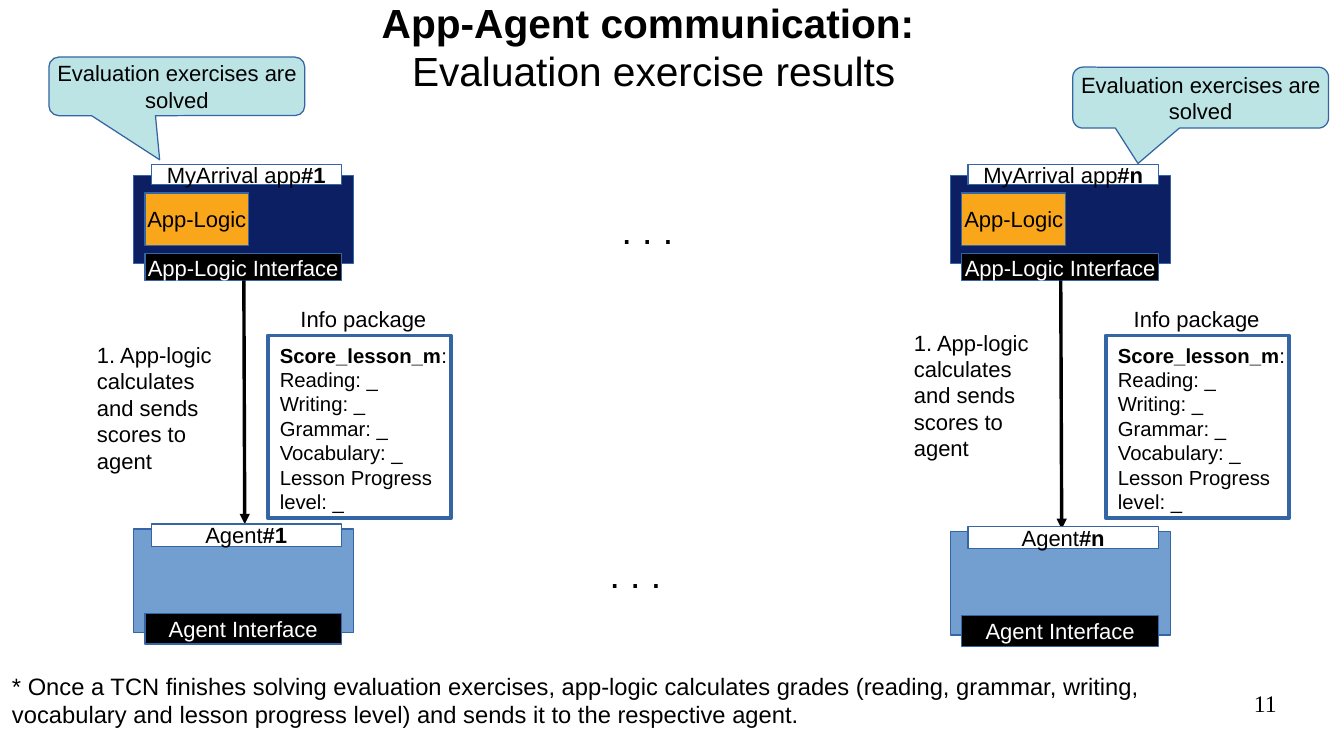
from dataclasses import dataclass

from lxml import etree
from pptx import Presentation
from pptx.dml.color import RGBColor
from pptx.enum.shapes import MSO_CONNECTOR, MSO_SHAPE
from pptx.enum.text import MSO_ANCHOR, PP_ALIGN
from pptx.oxml.ns import qn
from pptx.util import Cm, Pt

RECT = MSO_SHAPE.RECTANGLE
BUBBLE = MSO_SHAPE.ROUNDED_RECTANGULAR_CALLOUT
STRAIGHT = MSO_CONNECTOR.STRAIGHT
LEFT, CENTER, RIGHT = PP_ALIGN.LEFT, PP_ALIGN.CENTER, PP_ALIGN.RIGHT
TOP, MIDDLE = MSO_ANCHOR.TOP, MSO_ANCHOR.MIDDLE


@dataclass(frozen=True)
class Theme:
    """Colours, fonts and type sizes of the slide."""
    black: str = "000000"
    white: str = "FFFFFF"
    edge: str = "3465A4"
    navy: str = "0D1F63"
    orange: str = "FAA61A"
    blue: str = "729FCF"
    mint: str = "BCE4E5"
    font: str = "Arial"
    serif: str = "Times New Roman"
    title: int = 24
    dots: int = 22
    note: int = 14
    body: int = 13
    small: int = 12


THEME = Theme()
SCORES = [[("Score_lesson_m", True), (":", False)], "Reading: _", "Writing: _",
          "Grammar: _", "Vocabulary: _", "Lesson Progress\nlevel: _"]


def write(shape, paras, size=THEME.body, color=THEME.black, font=THEME.font,
          align=LEFT, anchor=TOP, wrap=True, pad=True):
    """Fill a shape with paragraphs, each a string or a list of (text, bold)."""
    frame = shape.text_frame
    frame.word_wrap = wrap
    frame.vertical_anchor = anchor
    if not pad:
        frame.margin_left = frame.margin_right = 0
        frame.margin_top = frame.margin_bottom = 0
    for i, runs in enumerate(paras):
        para = frame.add_paragraph() if i else frame.paragraphs[0]
        para.alignment = align
        for text, bold in [(runs, False)] if isinstance(runs, str) else runs:
            for j, line in enumerate(text.split("\n")):
                if j:
                    para.add_line_break()
                if not line:
                    continue
                run = para.add_run()
                run.text = line
                run.font.name, run.font.size = font, Pt(size)
                run.font.bold = bold
                run.font.color.rgb = RGBColor.from_string(color)


def label(slide, box, paras, **style):
    """Add a text box."""
    write(slide.shapes.add_textbox(*map(Cm, box)), paras, **style)


def block(slide, box, fill, paras=(), kind=RECT, width=0, **style):
    """Add a filled, outlined shape with centred text."""
    shape = slide.shapes.add_shape(kind, *map(Cm, box))
    shape.shadow.inherit = False
    shape.fill.solid()
    shape.fill.fore_color.rgb = RGBColor.from_string(fill)
    shape.line.color.rgb = RGBColor.from_string(THEME.edge)
    shape.line.width = Pt(width)
    if paras:
        write(shape, paras, align=CENTER, anchor=MIDDLE, wrap=False, **style)
    return shape


def arrow(slide, start, end):
    """Add a thin arrow between two points."""
    line = slide.shapes.add_connector(STRAIGHT, *map(Cm, start + end))
    line.line.color.rgb = RGBColor.from_string(THEME.black)
    line.line.width = Pt(0)
    etree.SubElement(line.line._get_or_add_ln(), qn("a:tailEnd"), type="triangle")
    etree.SubElement(line._element.spPr, qn("a:effectLst"))


def bubble(slide, box, tip):
    """Add the callout, its tip given relative to its centre."""
    shape = block(slide, box, THEME.mint, ["Evaluation exercises are", "solved"],
                  kind=BUBBLE)
    shape.adjustments[0], shape.adjustments[1] = tip


def unit(slide, box, fill, name, tag, port, tab, foot):
    """Add a box with a name tab on top and an interface bar at its foot.

    Tab and foot are (offset from the top, height).
    """
    x, y, wide, _ = box
    block(slide, box, fill)
    block(slide, (x + 0.36, y + tab[0], wide - 0.61, tab[1]), THEME.white,
          [[(name, False), (tag, True)]])
    block(slide, (x + 0.23, y + foot[0], wide - 0.48, foot[1]), THEME.black,
          [port], color=THEME.white)


def app(slide, box, tag):
    """Add an app with its logic."""
    unit(slide, box, THEME.navy, "MyArrival app", tag, "App-Logic Interface",
         (-0.23, 0.41), (1.63, 0.56))
    block(slide, (box[0] + 0.23, box[1] + 0.36, 2.16, 1.09), THEME.orange,
          ["App-Logic"])


def agent(slide, box, tag):
    """Add an agent."""
    unit(slide, box, THEME.blue, "Agent", tag, "Agent Interface",
         (-0.1, 0.46), (1.76, 0.64))


def info(slide, box, shift):
    """Add the score package with its heading shifted right."""
    x, y, wide, _ = box
    block(slide, box, THEME.white, width=2.3)
    label(slide, (x, y + 0.03, wide + 0.4, 3.58), SCORES, size=THEME.small)
    label(slide, (x + shift, y - 0.76, 3.4, 0.76), ["Info package"])


def column(slide, box, tag, drop, step, gap, shift):
    """Add one app, its agent and the message between them.

    Drop lowers the agent, step is the text's top, gap leads to the package.
    """
    x, y, wide, high = box
    app(slide, (x, y, wide, 1.83), tag)
    info(slide, (x + gap, y + 3.33, 3.81, 3.81), shift)
    label(slide, (x - 1.02, y + step, 3.3, 2.82),
          ["1. App-logic\ncalculates and sends scores to agent"])
    base = y + high - 2.16 + drop
    arrow(slide, (x + 2.29, y + 2.18), (x + 2.31, base - 0.1 + drop))
    agent(slide, (x, base, wide, 2.16), tag)


def frame(slide, box):
    """Add the title, the dots, the footnote and the page number."""
    x, y, wide, high = box
    label(slide, (x + 1.02, y - 0.1, wide - 2.8, 2.13),
          [[("App-Agent communication: \n", True),
            ("Evaluation exercise results", False)]],
          size=THEME.title, align=CENTER, anchor=MIDDLE, pad=False)
    for left, top in ((12.7, 4.19), (12.45, 11.35)):
        label(slide, (x + left, y + top, 1.78, 1.47), [". . ."], size=THEME.dots)
    label(slide, (x, y + high - 1.88, wide - 0.5, 1.37),
          ["* Once a TCN finishes solving evaluation exercises, app-logic "
           "calculates grades (reading, grammar, writing,\nvocabulary and lesson "
           "progress level) and sends it to the respective agent."],
          size=THEME.note)
    label(slide, (x + 20.07, y + high - 1.4, 6.53, 1.09), ["11"],
          size=THEME.note, font=THEME.serif, align=RIGHT, pad=False)


def main():
    """Build and save the slide."""
    deck = Presentation()
    wide, high = 28, 15.75
    deck.slide_width, deck.slide_height = Cm(wide), Cm(high)
    slide = deck.slides.add_slide(deck.slide_layouts[6])
    frame(slide, (0, 0, wide, high))
    bubble(slide, (1.02, 1.19, 5.33, 1.22), (-0.067, 1.254))
    bubble(slide, (22.35, 1.4, 5.33, 1.27), (-0.245, 1.081))
    column(slide, (2.79, 3.66, 4.57, 9.52), "#1", 0, 3.33, 2.79, 0.43)
    column(slide, (19.81, 3.66, 4.57, 9.52), "#n", 0.05, 3.07, 3.23, 0.33)
    deck.save("out.pptx")


main()
